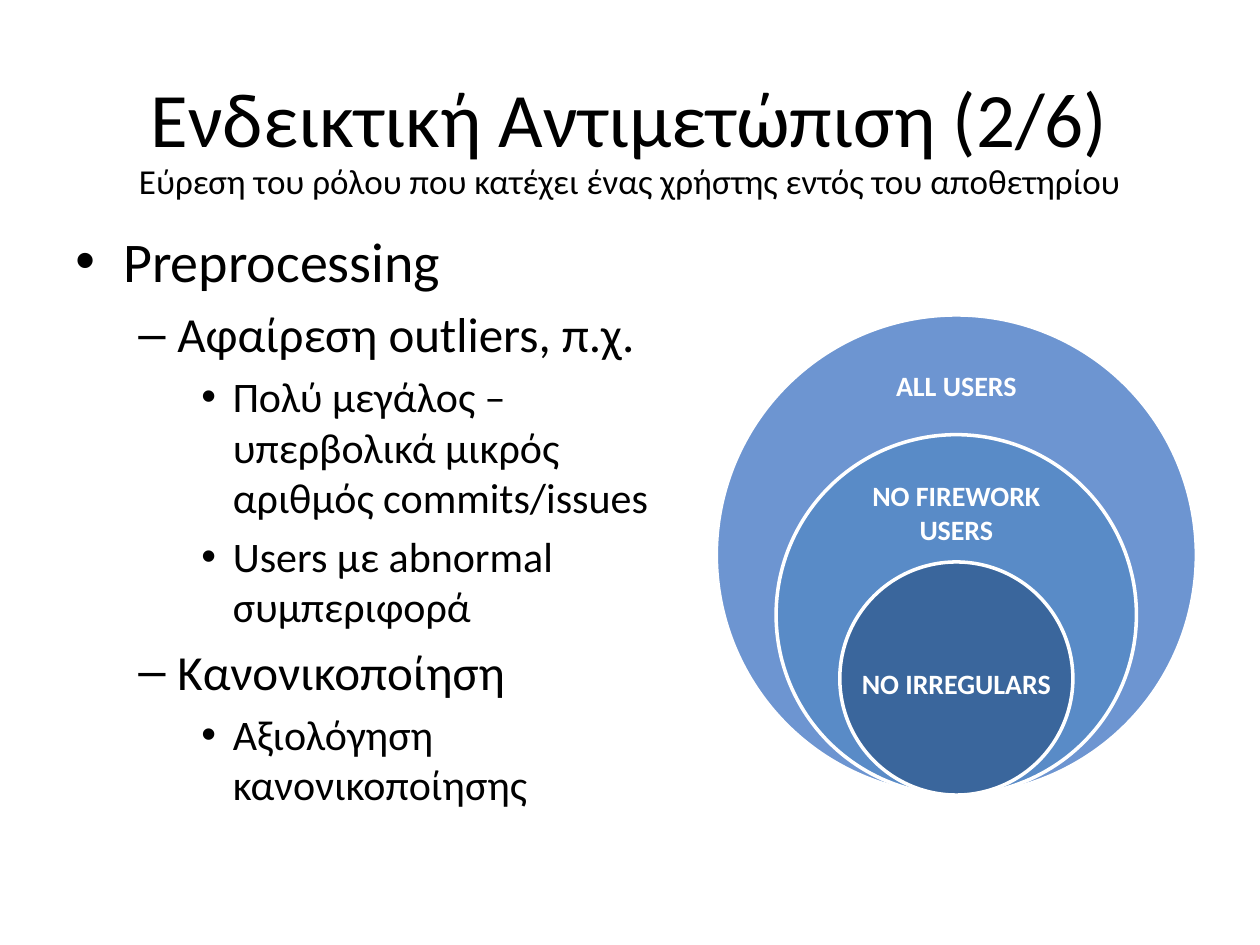
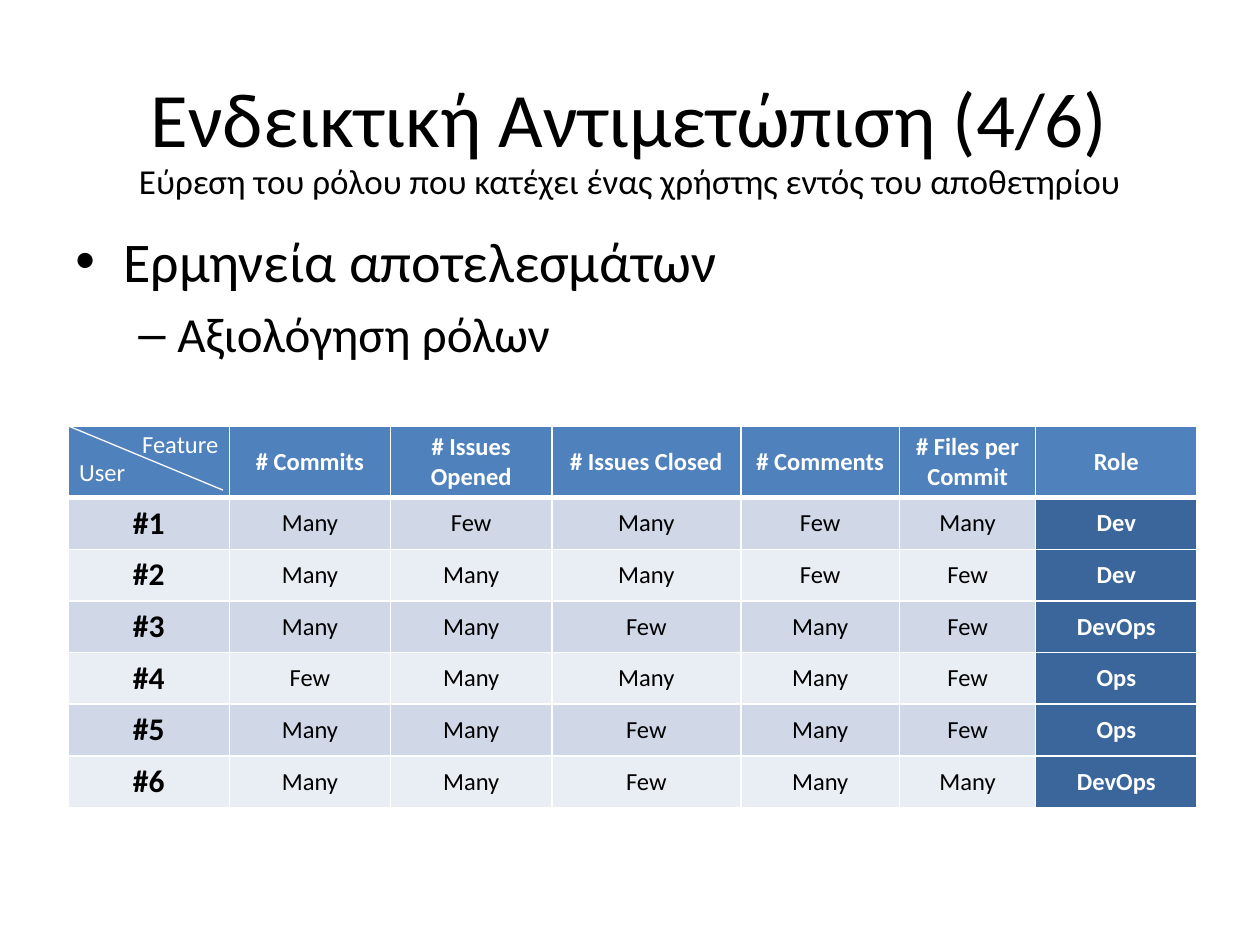
from lxml import etree
from pptx import Presentation
from pptx.dml.color import RGBColor
from pptx.enum import shapes, text
from pptx.oxml import ns
from pptx.util import Inches, Pt

FONT = "Calibri"
COLORS = {
    "ink": "000000", "white": "FFFFFF",
    "outer": "6D95D1", "middle": "598BC7", "inner": "3A669C",
    "header": "4F81BD", "odd": "D0D8E8", "even": "E9EDF4",
}
# bullet, text size, left margin and hanging indent for each level
LEVELS = [("•", 32, 0.38, 0.38), ("–", 28, 0.81, 0.31), ("•", 24, 1.25, 0.25)]
SUBTITLE = "Εύρεση του ρόλου που κατέχει ένας χρήστης εντός του αποθετηρίου"
CENTER, LEFT = text.PP_ALIGN.CENTER, text.PP_ALIGN.LEFT
MIDDLE, TOP = text.MSO_ANCHOR.MIDDLE, text.MSO_ANCHOR.TOP


def color(name):
    return RGBColor.from_string(COLORS[name])


def place(left, top, width, height):
    return [Inches(value) for value in (left, top, width, height)]


class Deck:
    def __init__(self):
        self.file = Presentation()
        self.file.slide_width, self.file.slide_height = Inches(10), Inches(7.5)
        self.page = None

    def add_page(self, title):
        self.page = self.file.slides.add_slide(self.file.slide_layouts[5])
        box = self.page.shapes.title
        box.left, box.top, box.width, box.height = place(0.5, 0.3, 9, 1.25)
        box.text_frame.vertical_anchor = MIDDLE
        self.add_span(box.text_frame.paragraphs[0], title, 44)
        self.label(SUBTITLE, (0.5, 1.21, 9, 0.44), 20, anchor=MIDDLE)

    def add_span(self, para, words, size, ink="ink", bold=False, align=CENTER):
        para.alignment = align
        span = para.add_run()
        span.text = words
        span.font.name, span.font.size, span.font.bold = FONT, Pt(size), bold
        span.font.color.rgb = color(ink)

    def text_box(self, area, anchor=TOP):
        frame = self.page.shapes.add_textbox(*place(*area)).text_frame
        frame.word_wrap = True
        frame.vertical_anchor = anchor
        return frame

    def label(self, words, area, size, ink="ink", bold=False, align=CENTER, anchor=TOP):
        frame = self.text_box(area, anchor)
        self.add_span(frame.paragraphs[0], words, size, ink, bold, align)

    def bullets(self, items, width):
        frame = self.text_box((0.5, 1.75, width, 4.95))
        for index, (level, words) in enumerate(items):
            para = frame.add_paragraph() if index else frame.paragraphs[0]
            mark, size, margin, hanging = LEVELS[level]
            para.level = level
            para.space_before = Pt(size * 0.2)
            props = para._p.get_or_add_pPr()
            props.set("marL", str(Inches(margin)))
            props.set("indent", str(-Inches(hanging)))
            etree.SubElement(props, ns.qn("a:buFont"), typeface="Arial")
            etree.SubElement(props, ns.qn("a:buChar"), char=mark)
            self.add_span(para, words, size, align=LEFT)

    def circle(self, center, bottom, diameter, fill):
        area = place(center - diameter / 2, bottom - diameter, diameter, diameter)
        shape = self.page.shapes.add_shape(shapes.MSO_SHAPE.FLOWCHART_CONNECTOR, *area)
        shape.shadow.inherit = False
        shape.fill.solid()
        shape.fill.fore_color.rgb = color(fill)
        shape.line.color.rgb = color("white")
        shape.line.width = Pt(2)

    def line(self, start, end):
        points = [Inches(value) for value in (*start, *end)]
        line = self.page.shapes.add_connector(shapes.MSO_CONNECTOR.STRAIGHT, *points)
        line.line.color.rgb = color("white")
        line.line.width = Pt(0.75)
        etree.SubElement(line._element.spPr, ns.qn("a:effectLst"))

    def borders(self, cell, **widths):
        """Draw white cell borders, 1 point wide unless a side is given."""
        props = cell._tc.get_or_add_tcPr()
        for side in "LRTB":
            edge = etree.SubElement(props, ns.qn("a:ln" + side), w=str(Pt(widths.get(side, 1))))
            fill = etree.SubElement(edge, ns.qn("a:solidFill"))
            etree.SubElement(fill, ns.qn("a:srgbClr"), val=COLORS["white"])

    def table(self, rows, left, top, widths, heights):
        area = place(left, top, sum(widths), sum(heights))
        table = self.page.shapes.add_table(len(rows), len(widths), *area).table
        for column, width in zip(table.columns, widths):
            column.width = Inches(width)
        for r, row in enumerate(rows):
            table.rows[r].height = Inches(heights[r])
            for c, words in enumerate(row):
                is_header, is_role = r == 0, c == len(row) - 1
                cell = table.cell(r, c)
                cell.vertical_anchor = MIDDLE
                self.borders(cell, **({"B": 3} if is_header else {"T": 3} if r == 1 else {}))
                band = "odd" if r % 2 else "even"
                cell.fill.solid()
                cell.fill.fore_color.rgb = color(
                    "header" if is_header else "inner" if is_role else band)
                if words:
                    self.add_span(cell.text_frame.paragraphs[0], words,
                                  18 if c == 0 else 14,
                                  "white" if is_header or is_role else "ink",
                                  is_header or is_role or c == 0)


def preprocessing_page(deck):
    deck.add_page("Ενδεικτική Αντιμετώπιση (2/6)")
    deck.bullets([
        (0, "Preprocessing"),
        (1, "Αφαίρεση outliers, π.χ."),
        (2, "Πολύ μεγάλος – υπερβολικά μικρός αριθμός commits/issues"),
        (2, "Users με abnormal συμπεριφορά"),
        (1, "Κανονικοποίηση"),
        (2, "Αξιολόγηση κανονικοποίησης"),
    ], 4.97)
    center, bottom = 7.59, 6.31
    for diameter, fill, words, top, width, height in [
        (3.81, "outer", "ALL USERS", 2.88, 1.82, 0.37),
        (2.86, "middle", "NO FIREWORK USERS", 3.75, 1.82, 0.64),
        (1.85, "inner", "NO IRREGULARS", 5.24, 2.01, 0.37),
    ]:
        deck.circle(center, bottom, diameter, fill)
        deck.label(words, (center - width / 2, top, width, height), 16, "white", True)


def roles_page(deck):
    deck.add_page("Ενδεικτική Αντιμετώπιση (4/6)")
    deck.bullets([(0, "Ερμηνεία αποτελεσμάτων"), (1, "Αξιολόγηση ρόλων")], 9)
    header = ["", "# Commits", "# Issues Opened", "# Issues Closed",
              "# Comments", "# Files per Commit", "Role"]
    users = [
        "Many Few Many Few Many Dev",
        "Many Many Many Few Few Dev",
        "Many Many Few Many Few DevOps",
        "Few Many Many Many Few Ops",
        "Many Many Few Many Few Ops",
        "Many Many Few Many Many DevOps",
    ]
    rows = [header] + [[f"#{n}", *user.split()] for n, user in enumerate(users, 1)]
    deck.table(rows, 0.54, 3.38, [1.28, 1.28, 1.28, 1.5, 1.26, 1.08, 1.28],
               [0.57] + [0.41] * len(users))
    deck.line((0.54, 3.38), (1.77, 3.89))
    for words, left, top in [("Feature", 1.03, 3.36), ("User", 0.53, 3.58)]:
        deck.label(words, (left, top, 0.94, 0.34), 14, "white", align=LEFT)


def main():
    deck = Deck()
    preprocessing_page(deck)
    roles_page(deck)
    deck.file.save("out.pptx")


if __name__ == "__main__":
    main()
